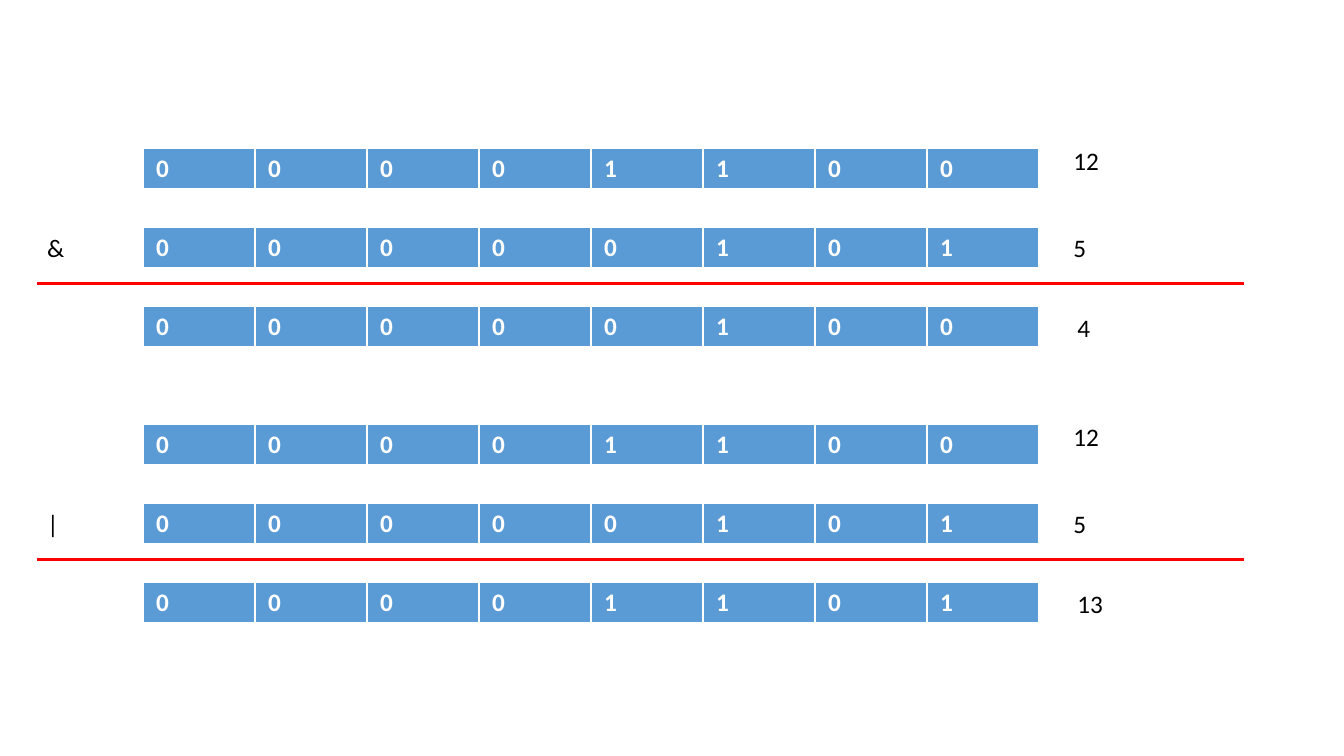
from dataclasses import dataclass

from lxml.etree import SubElement
from pptx import Presentation
from pptx.dml.color import RGBColor
from pptx.enum.shapes import MSO_CONNECTOR
from pptx.enum.text import MSO_AUTO_SIZE
from pptx.oxml.ns import qn
from pptx.slide import Slide
from pptx.util import Pt

# Layout in points
BITS = 8
BYTE_LEFT, BIT_WIDTH, BIT_HEIGHT = 102.2, 80, 29.5
ROW_PITCH = 56.6
SYMBOL_LEFT, SYMBOL_WIDTH = 26.6, 67.7
VALUE_LEFT, RESULT_LEFT, VALUE_WIDTH = 759.6, 762.5, 75.6
LABEL_HEIGHT = 29
RULE_RIGHT, RULE_OFFSET = 888.5, 96.4

# Text formats and cell borders
LABEL_FONT = {"name": "Calibri", "size": Pt(18), "bold": False}
BIT_FONT = {**LABEL_FONT, "bold": True}
CELL_MARGINS = {
    "margin_left": Pt(9.4),
    "margin_right": Pt(9.4),
    "margin_top": Pt(3.6),
    "margin_bottom": Pt(3.6),
}
BORDER_WIDTHS = {"lnL": 1, "lnR": 1, "lnT": 1, "lnB": 3}


@dataclass
class Operand:
    value: int
    left: float
    label_shift: float


@dataclass
class Operation:
    symbol: str
    top: float
    result: int


OPERATIONS = [Operation("&", 105.8, 12 & 5), Operation("|", 303.1, 12 | 5)]


def color(hex_code: str) -> RGBColor:
    return RGBColor.from_string(hex_code)


def apply(target, formats: dict) -> None:
    for attribute, setting in formats.items():
        setattr(target, attribute, setting)


def add_label(slide: Slide, text: str, left: float, top: float, width: float) -> None:
    frame = slide.shapes.add_textbox(
        Pt(left), Pt(top), Pt(width), Pt(LABEL_HEIGHT)
    ).text_frame
    apply(frame, {"word_wrap": True, "auto_size": MSO_AUTO_SIZE.SHAPE_TO_FIT_TEXT})
    run = frame.paragraphs[0].add_run()
    run.text = text
    apply(run.font, LABEL_FONT)
    run.font.color.rgb = color("000000")


def add_borders(cell) -> None:
    properties = cell._tc.get_or_add_tcPr()
    for side, width in BORDER_WIDTHS.items():
        border = SubElement(properties, qn(f"a:{side}"), w=str(Pt(width)))
        fill = SubElement(border, qn("a:solidFill"))
        SubElement(fill, qn("a:srgbClr"), val="FFFFFF")


def add_byte(slide: Slide, value: int, top: float) -> None:
    byte = slide.shapes.add_table(
        1, BITS, Pt(BYTE_LEFT), Pt(top), Pt(BITS * BIT_WIDTH), Pt(BIT_HEIGHT)
    ).table
    apply(byte, {"first_row": False, "horz_banding": False})
    for cell, bit in zip(byte.iter_cells(), format(value, f"0{BITS}b")):
        apply(cell, CELL_MARGINS)
        add_borders(cell)
        cell.fill.solid()
        cell.fill.fore_color.rgb = color("5B9BD5")
        run = cell.text_frame.paragraphs[0].add_run()
        run.text = bit
        apply(run.font, BIT_FONT)
        run.font.color.rgb = color("FFFFFF")


def add_rule(slide: Slide, top: float) -> None:
    rule = slide.shapes.add_connector(
        MSO_CONNECTOR.STRAIGHT, Pt(SYMBOL_LEFT), Pt(top), Pt(RULE_RIGHT), Pt(top)
    )
    rule.line.width = Pt(2.25)
    rule.line.color.rgb = color("FF0000")
    SubElement(rule._element.spPr, qn("a:effectLst"))


def add_operation(slide: Slide, operation: Operation) -> None:
    operands = [
        Operand(12, VALUE_LEFT, -5.8),
        Operand(5, VALUE_LEFT, 0),
        Operand(operation.result, RESULT_LEFT, 0.3),
    ]
    # Bytes with their decimal values
    for index, operand in enumerate(operands):
        top = operation.top + index * ROW_PITCH
        add_byte(slide, operand.value, top)
        add_label(
            slide, str(operand.value), operand.left, top + operand.label_shift, VALUE_WIDTH
        )
    # Operator and the rule above the result
    add_label(
        slide, operation.symbol, SYMBOL_LEFT, operation.top + ROW_PITCH, SYMBOL_WIDTH
    )
    add_rule(slide, operation.top + RULE_OFFSET)


def main() -> None:
    presentation = Presentation()
    apply(presentation, {"slide_width": Pt(960), "slide_height": Pt(540)})
    slide = presentation.slides.add_slide(presentation.slide_layouts[6])
    for operation in OPERATIONS:
        add_operation(slide, operation)
    presentation.save("out.pptx")


if __name__ == "__main__":
    main()
